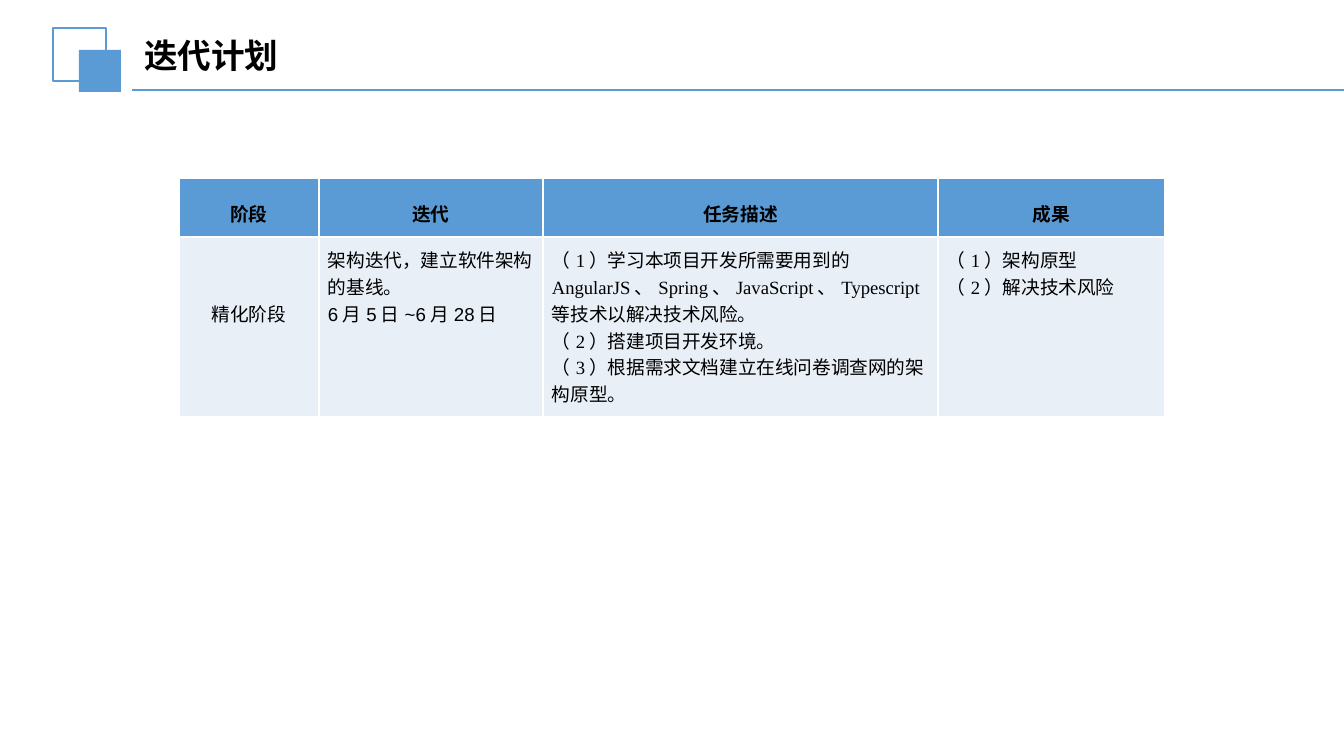
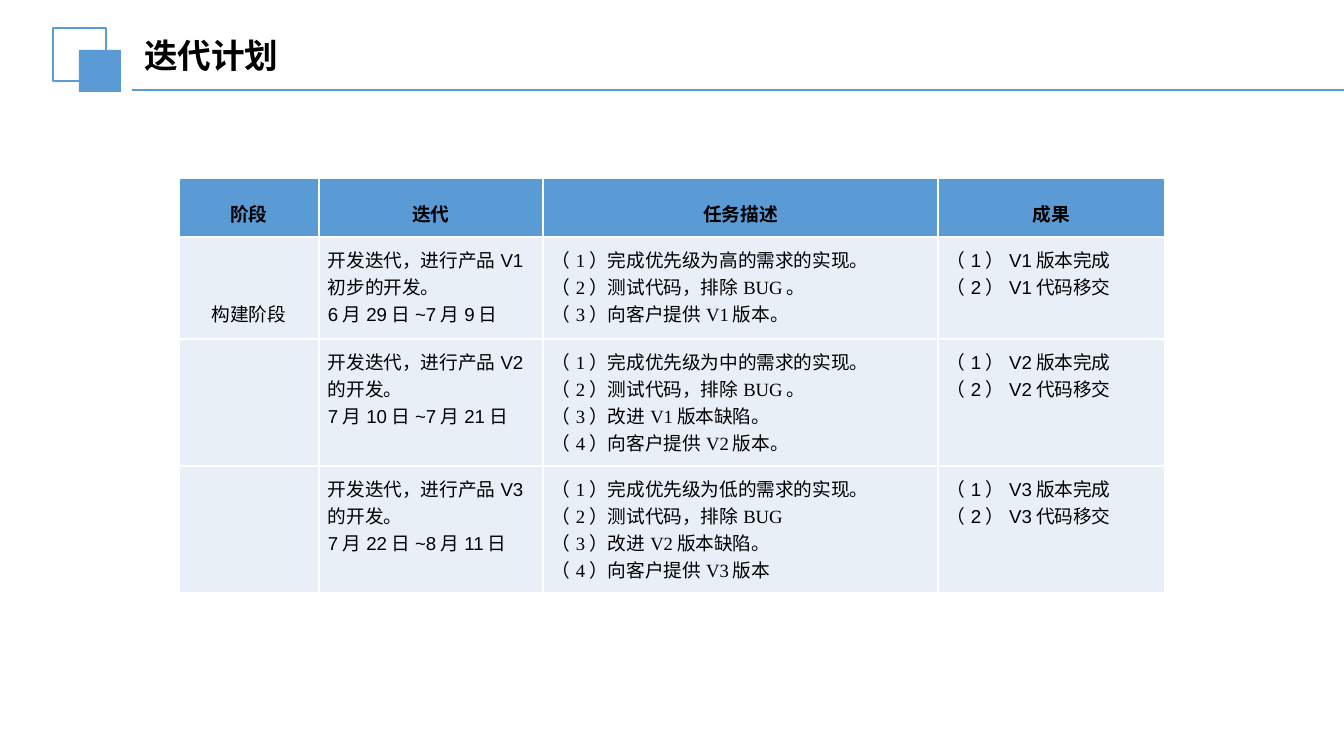
from pptx import Presentation
from pptx.dml.color import RGBColor
from pptx.enum.shapes import MSO_CONNECTOR, MSO_SHAPE
from pptx.enum.text import MSO_ANCHOR, PP_ALIGN
from pptx.util import Emu, Pt
from lxml.etree import SubElement
from pptx.oxml.ns import qn

SCALE = 914400 / 134.4
HUES = {"blue": "5B9BD5", "pale": "E9EFF7", "white": "FFFFFF", "black": "000000"}
SANS, SERIF = "Arial", "Times New Roman"
COLS = (140, 224, 395, 227)
LEFT, TOP, HEAD_H = 179, 178, 59
HEAD = ("阶段", "迭代", "任务描述", "成果")


def px(num):
    """Turn pixels into EMU."""
    return Emu(round(num * SCALE))


def hue(name):
    """Look up a colour by name."""
    return RGBColor.from_string(HUES[name])


def write(frame, text, size=10, font=SANS, bold=False, align=PP_ALIGN.LEFT, lead=None):
    """Fill a text frame, one paragraph for each line of text."""
    frame.word_wrap = True
    for num, line in enumerate(text.split("\n")):
        para = frame.add_paragraph() if num else frame.paragraphs[0]
        para.alignment = align
        if lead:
            para.line_spacing = lead
        run = para.add_run()
        run.text = line
        run.font.size = Pt(size)
        run.font.name = font
        run.font.bold = bold
        run.font.color.rgb = hue("black")


def square(slide, left, top, side, fill=None, line=None):
    """Draw a square with a fill or an outline."""
    box = slide.shapes.add_shape(MSO_SHAPE.RECTANGLE, px(left), px(top), px(side), px(side))
    box.shadow.inherit = False
    if fill:
        box.fill.solid()
        box.fill.fore_color.rgb = hue(fill)
    else:
        box.fill.background()
    if line:
        box.line.color.rgb = hue(line)
        box.line.width = Pt(0.75)
    else:
        box.line.fill.background()


def rule(slide, left, right, top):
    """Draw the line under the title."""
    line = slide.shapes.add_connector(MSO_CONNECTOR.STRAIGHT, px(left), px(top), px(right), px(top))
    line.line.color.rgb = hue("blue")
    line.line.width = Pt(1.25)
    SubElement(line._element.spPr, qn("a:effectLst"))


def title(slide, text):
    """Draw the title band."""
    square(slide, 53, 28, 53, line="blue")
    square(slide, 79, 50, 42, fill="blue")
    rule(slide, 132, 1344, 90)
    frame = slide.shapes.add_textbox(px(131), px(29), px(478), px(58)).text_frame
    frame.vertical_anchor = MSO_ANCHOR.MIDDLE
    write(frame, text, size=18, bold=True, lead=0.9)


def paint(cell, fill):
    """Set the margins, borders and fill of a cell."""
    cell.margin_left = cell.margin_right = cell.margin_top = cell.margin_bottom = px(9)
    props = cell._tc.get_or_add_tcPr()
    for side in "LRTB":
        edge = SubElement(props, qn(f"a:ln{side}"), w=str(Pt(1)))
        SubElement(SubElement(edge, qn("a:solidFill")), qn("a:srgbClr"), val=HUES["white"])
    cell.fill.solid()
    cell.fill.fore_color.rgb = hue(fill)


def grid(slide, top, rows, highs, last=SANS):
    """Draw a table, with HEAD rows styled as the header."""
    size = len(rows), len(COLS)
    table = slide.shapes.add_table(*size, px(LEFT), px(top), px(sum(COLS)), px(sum(highs))).table
    table.first_row = table.horz_banding = False
    for col, wide in zip(table.columns, COLS):
        col.width = px(wide)
    looks = ({"align": PP_ALIGN.CENTER, "lead": 3}, {}, {"font": SERIF}, {"font": last})
    for num, (row, high) in enumerate(zip(rows, highs)):
        table.rows[num].height = px(high)
        top_row = row is HEAD
        for col, (text, look) in enumerate(zip(row, looks)):
            cell = table.cell(num, col)
            paint(cell, "blue" if top_row else "pale")
            if top_row:
                look = {"bold": True, "align": PP_ALIGN.CENTER, "lead": 1.5}
            if text:
                write(cell.text_frame, text, **look)


def count(*items):
    """Number the items, one on a line."""
    return "\n".join(f"（{num}）{item}" for num, item in enumerate(items, 1))


def result(name):
    """List the results of one version."""
    return count(f"{name}版本完成", f"{name}代码移交")


def refine(slide):
    """Draw the plan of the refining stage."""
    tasks = count(
        "学习本项目开发所需要用到的AngularJS、Spring、JavaScript、Typescript等技术以解决技术风险。",
        "搭建项目开发环境。",
        "根据需求文档建立在线问卷调查网的架构原型。",
    )
    row = ("精化阶段", "架构迭代，建立软件架构的基线。\n6月5日~6月28日", tasks,
           count("架构原型", "解决技术风险"))
    grid(slide, TOP, [HEAD, row], [HEAD_H, 180], last=SERIF)


def build(slide):
    """Draw the plan of the building stage."""
    check = "测试代码，排除BUG"
    rows = [
        ("构建阶段", "开发迭代，进行产品V1初步的开发。\n6月29日~7月9日",
         count("完成优先级为高的需求的实现。", check + "。", "向客户提供V1版本。"), result("V1")),
        ("", "开发迭代，进行产品V2的开发。\n7月10日~7月21日",
         count("完成优先级为中的需求的实现。", check + "。", "改进V1版本缺陷。", "向客户提供V2版本。"),
         result("V2")),
        ("", "开发迭代，进行产品V3的开发。\n7月22日~8月11日",
         count("完成优先级为低的需求的实现。", check, "改进V2版本缺陷。", "向客户提供V3版本"),
         result("V3")),
    ]
    grid(slide, TOP + HEAD_H, rows, [102, 127, 127])
    grid(slide, TOP, [HEAD], [HEAD_H])


def main():
    """Build and save the deck."""
    deck = Presentation()
    deck.slide_width, deck.slide_height = px(1344), px(756)
    for draw in (refine, build):
        slide = deck.slides.add_slide(deck.slide_layouts[6])
        title(slide, "迭代计划")
        draw(slide)
    deck.save("out.pptx")


if __name__ == "__main__":
    main()
